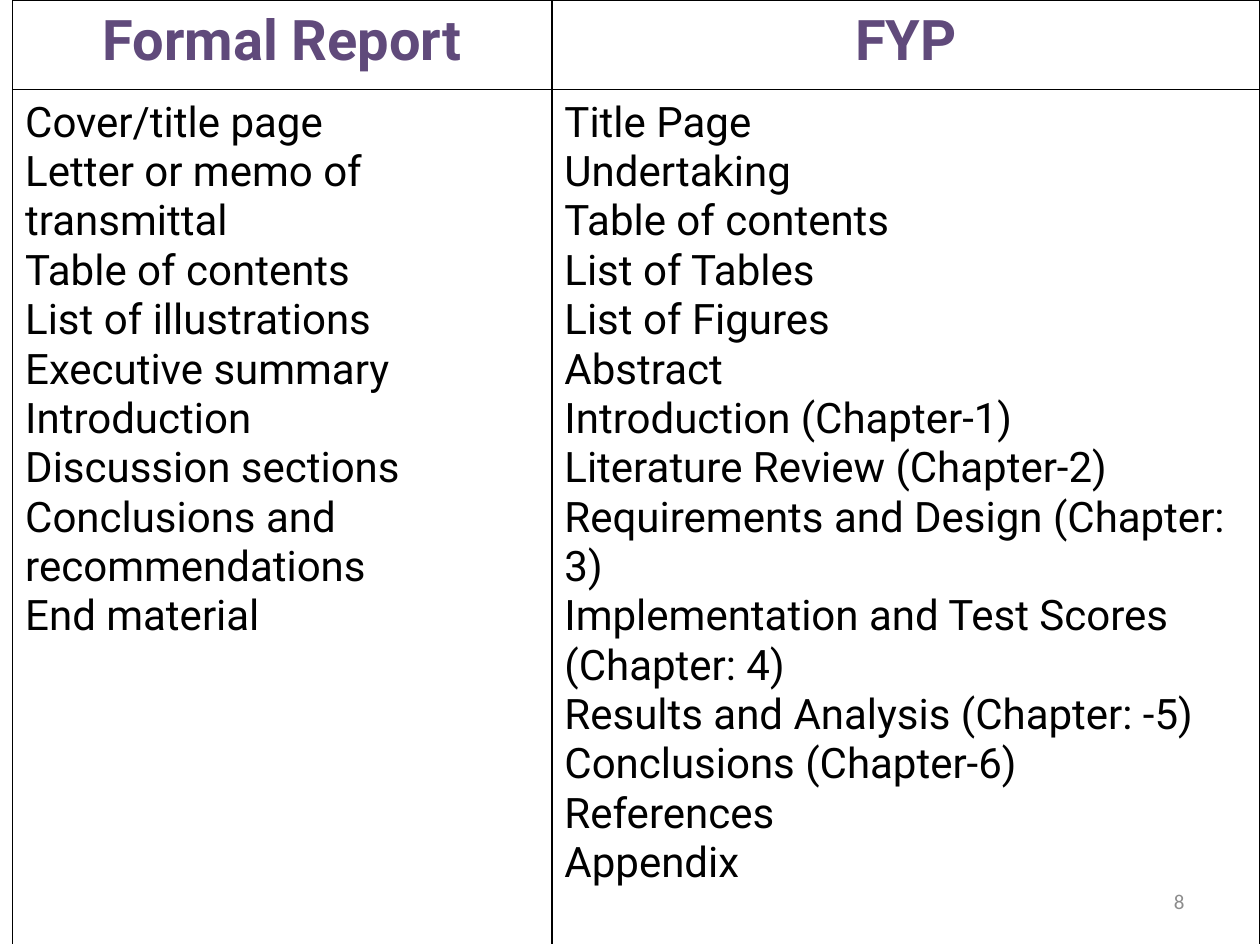
import pptx
import pptx.util
import pptx.dml.color
import pptx.enum.text
import pptx.oxml
import pptx.oxml.ns

Inches = pptx.util.Inches
Pt = pptx.util.Pt
ALIGN = pptx.enum.text.PP_ALIGN
ANCHOR = pptx.enum.text.MSO_ANCHOR

COLORS = {"heading": "604A7B", "body": "000000", "border": "000000", "number": "8C8C8C"}

HEADINGS = ["Formal Report", "FYP"]
CONTENTS = [
    [
        "Cover/title page",
        "Letter or memo of transmittal",
        "Table of contents",
        "List of illustrations",
        "Executive summary",
        "Introduction",
        "Discussion sections",
        "Conclusions and recommendations",
        "End material",
    ],
    [
        "Title Page",
        "Undertaking",
        "Table of contents",
        "List of Tables",
        "List of Figures",
        "Abstract",
        "Introduction (Chapter-1)",
        "Literature Review (Chapter-2)",
        "Requirements and Design (Chapter: 3)",
        "Implementation and Test Scores (Chapter: 4)",
        "Results and Analysis (Chapter: -5)",
        "Conclusions (Chapter-6)",
        "References",
        "Appendix",
    ],
]


def write_text(text_frame, lines, size=24, font="Roboto", color="body",
               bold=False, align=ALIGN.LEFT):
    """Fill a text frame with one paragraph per line."""
    text_frame.word_wrap = True
    for index, line in enumerate(lines):
        paragraph = text_frame.add_paragraph() if index else text_frame.paragraphs[0]
        paragraph.alignment = align
        run = paragraph.add_run()
        run.text = line
        run.font.size = Pt(size)
        run.font.name = font
        run.font.bold = bold
        run.font.color.rgb = pptx.dml.color.RGBColor.from_string(COLORS[color])


def set_borders(cell, sides, width=1):
    """Draw solid lines on the named sides (L, R, T, B), in that order."""
    properties = cell._tc.get_or_add_tcPr()
    for index, side in enumerate(sides):
        properties.insert(index, pptx.oxml.parse_xml(
            f'<a:ln{side} {pptx.oxml.ns.nsdecls("a")} w="{Pt(width)}"><a:solidFill>'
            f'<a:srgbClr val="{COLORS["border"]}"/></a:solidFill></a:ln{side}>'))


def add_comparison_table(slide, left, top, column_widths, row_heights):
    width, height = sum(column_widths), sum(row_heights)
    frame = slide.shapes.add_table(2, 2, Inches(left), Inches(top),
                                   Inches(width), Inches(height))
    table = frame.table
    table.first_row = table.horz_banding = False
    for column, column_width in zip(table.columns, column_widths):
        column.width = Inches(column_width)
    for row, row_height in zip(table.rows, row_heights):
        row.height = Inches(row_height)

    for cell in table.iter_cells():
        cell.fill.background()
        cell.margin_left = cell.margin_right = Inches(0.1)
        cell.margin_top = cell.margin_bottom = Inches(0.07)

    for index, (heading, items) in enumerate(zip(HEADINGS, CONTENTS)):
        heading_cell, list_cell = table.cell(0, index), table.cell(1, index)
        write_text(heading_cell.text_frame, [heading], size=32, color="heading",
                   bold=True, align=ALIGN.CENTER)
        write_text(list_cell.text_frame, items)
        set_borders(heading_cell, "LRTB")
        set_borders(list_cell, "LRT")  # the lists stay open at the bottom


def add_slide_number(slide, left, top, width, height):
    box = slide.shapes.add_textbox(Inches(left), Inches(top), Inches(width), Inches(height))
    box.text_frame.vertical_anchor = ANCHOR.MIDDLE
    write_text(box.text_frame, ["8"], size=12, font="Calibri", color="number",
               align=ALIGN.RIGHT)


def main():
    presentation = pptx.Presentation()
    presentation.slide_width = Inches(10)
    presentation.slide_height = Inches(7.5)
    slide = presentation.slides.add_slide(presentation.slide_layouts[6])

    add_slide_number(slide, 7.17, 6.95, 2.33, 0.4)
    # The table runs down to the bottom edge of the slide
    add_comparison_table(slide, 0.1, 0, [4.28, 5.62], [0.71, 6.79])

    presentation.save("out.pptx")


if __name__ == "__main__":
    main()
